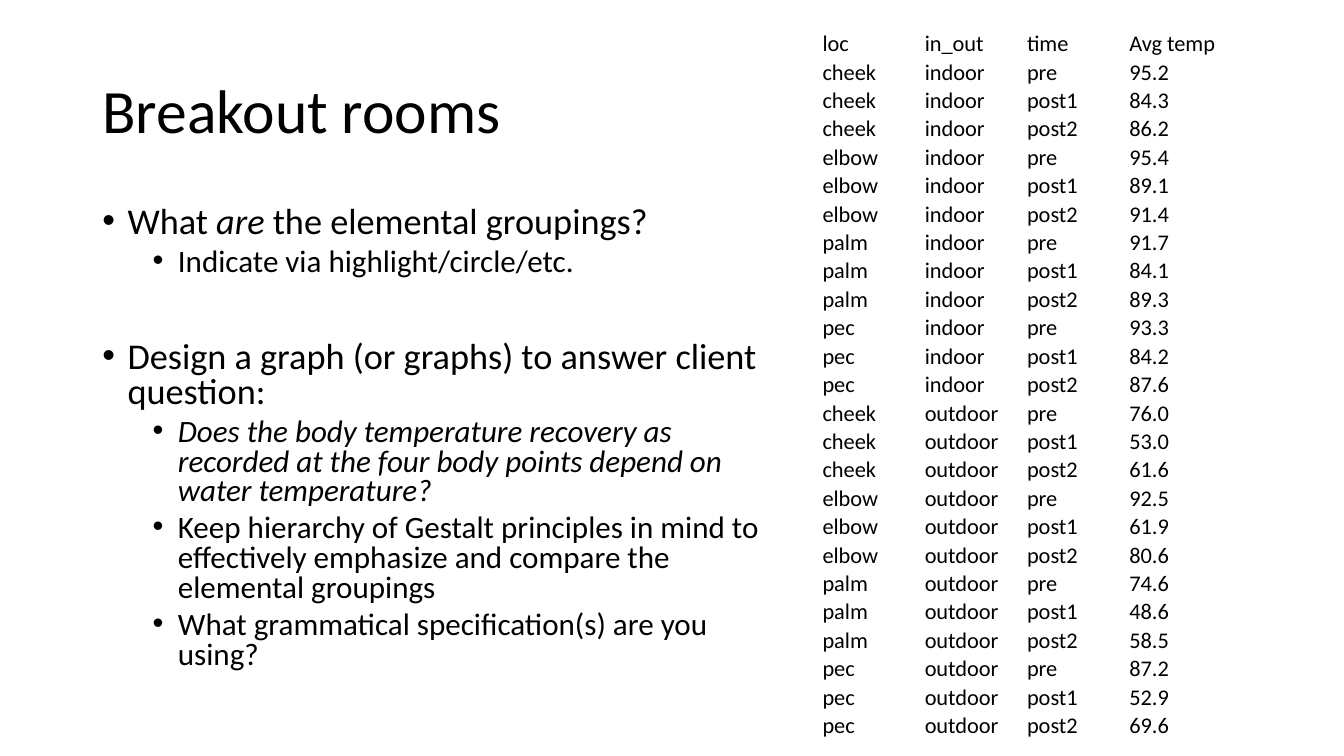
"""Build the breakout rooms slide with its task list and temperature table."""
from dataclasses import dataclass
from itertools import product
from typing import Any

from lxml import etree
from pptx import Presentation
from pptx.dml.color import RGBColor
from pptx.enum.text import MSO_ANCHOR, MSO_AUTO_SIZE, PP_ALIGN
from pptx.oxml.ns import qn
from pptx.util import Pt

MIDDLE, BOTTOM = MSO_ANCHOR.MIDDLE, MSO_ANCHOR.BOTTOM
LEFT = PP_ALIGN.LEFT
NO_FIT = MSO_AUTO_SIZE.NONE
FONT = "Calibri"
COLORS = {"ink": "000000"}
TITLE_BOX = {"left": Pt(66), "top": Pt(28.75), "width": Pt(828), "height": Pt(104.4)}
LIST_BOX = (Pt(66), Pt(144), Pt(492), Pt(342.7))
TABLE_BOX = (Pt(586.8), Pt(20.9), Pt(292.3), Pt(499))
CELL = {"margin_left": Pt(0.72), "margin_right": Pt(0.72), "margin_top": Pt(0.72),
        "margin_bottom": Pt(0), "vertical_anchor": BOTTOM}
SIZES = (25.9, 22.2)
INDENTS = (18, 54)
HANG = 18

HEADS = ("loc", "in_out", "time", "Avg temp")
SITES = ("indoor", "outdoor")
PARTS = ("cheek", "elbow", "palm", "pec")
TIMES = ("pre", "post1", "post2")
TEMPS = (
    "95.2", "84.3", "86.2", "95.4", "89.1", "91.4",
    "91.7", "84.1", "89.3", "93.3", "84.2", "87.6",
    "76.0", "53.0", "61.6", "92.5", "61.9", "80.6",
    "74.6", "48.6", "58.5", "87.2", "52.9", "69.6",
)


@dataclass(frozen=True)
class Run:
    """A stretch of text, upright or italic."""
    text: str
    italic: bool = False


@dataclass(frozen=True)
class Item:
    """A bullet with its level and the space above it."""
    runs: tuple[Run, ...]
    level: int = 1
    before: float = 5


ITEMS = (
    Item((Run("What "), Run("are ", True), Run("the elemental groupings?")), 0, 10),
    Item((Run("Indicate via highlight/circle/etc."),)),
    Item((Run("Design a graph (or graphs) to answer client question:"),), 0, 45.3),
    Item((Run("Does the body temperature recovery as recorded at the four body points "
              "depend on water temperature?", True),)),
    Item((Run("Keep hierarchy of Gestalt principles in mind to effectively emphasize "
              "and compare the elemental groupings"),)),
    Item((Run("What grammatical specification(s) are you using?"),)),
)


def apply(target: Any, values: dict[str, Any]) -> None:
    """Set each named attribute on the target."""
    for name, value in values.items():
        setattr(target, name, value)


def add_run(para: Any, run: Run, size: float) -> None:
    """Add a styled run to a paragraph."""
    piece = para.add_run()
    piece.text = run.text
    apply(piece.font, {"name": FONT, "size": Pt(size), "italic": run.italic})
    piece.font.color.rgb = RGBColor.from_string(COLORS["ink"])


def add_title(slide: Any, text: str) -> None:
    """Place and format the slide title."""
    title = slide.shapes.title
    apply(title, TITLE_BOX)
    frame = title.text_frame
    apply(frame, {"vertical_anchor": MIDDLE, "word_wrap": True, "auto_size": NO_FIT})
    para = frame.paragraphs[0]
    apply(para, {"alignment": LEFT, "line_spacing": 0.9})
    add_run(para, Run(text), 44)


def add_bullet(para: Any, level: int) -> None:
    """Give a paragraph a hanging round bullet."""
    props = para._p.get_or_add_pPr()
    props.set("marL", str(Pt(INDENTS[level])))
    props.set("indent", str(-Pt(HANG)))
    etree.SubElement(props, qn("a:buFont"), typeface="Arial")
    etree.SubElement(props, qn("a:buChar"), char="•")


def add_list(slide: Any, items: tuple[Item, ...]) -> None:
    """Add the list of tasks."""
    frame = slide.shapes.add_textbox(*LIST_BOX).text_frame
    apply(frame, {"word_wrap": True, "auto_size": NO_FIT})
    for index, item in enumerate(items):
        para = frame.add_paragraph() if index else frame.paragraphs[0]
        apply(para, {"level": item.level, "line_spacing": 0.8,
                     "space_before": Pt(item.before)})
        add_bullet(para, item.level)
        for run in item.runs:
            add_run(para, run, SIZES[item.level])


def add_grid(slide: Any, rows: list[tuple[str, ...]]) -> None:
    """Add the table of temperatures."""
    table = slide.shapes.add_table(len(rows), len(HEADS), *TABLE_BOX).table
    apply(table, {"first_row": False, "horz_banding": False})
    for cell, text in zip(table.iter_cells(), (text for row in rows for text in row)):
        apply(cell, CELL)
        cell.fill.background()
        add_run(cell.text_frame.paragraphs[0], Run(text), 16)


def main() -> None:
    """Build and save the slide."""
    deck = Presentation()
    apply(deck, {"slide_width": Pt(960), "slide_height": Pt(540)})
    slide = deck.slides.add_slide(deck.slide_layouts[5])
    add_title(slide, "Breakout rooms")
    add_list(slide, ITEMS)
    groups = product(SITES, PARTS, TIMES)
    rows = [(part, site, time, temp) for (site, part, time), temp in zip(groups, TEMPS)]
    add_grid(slide, [HEADS, *rows])
    deck.save("out.pptx")


if __name__ == "__main__":
    main()
